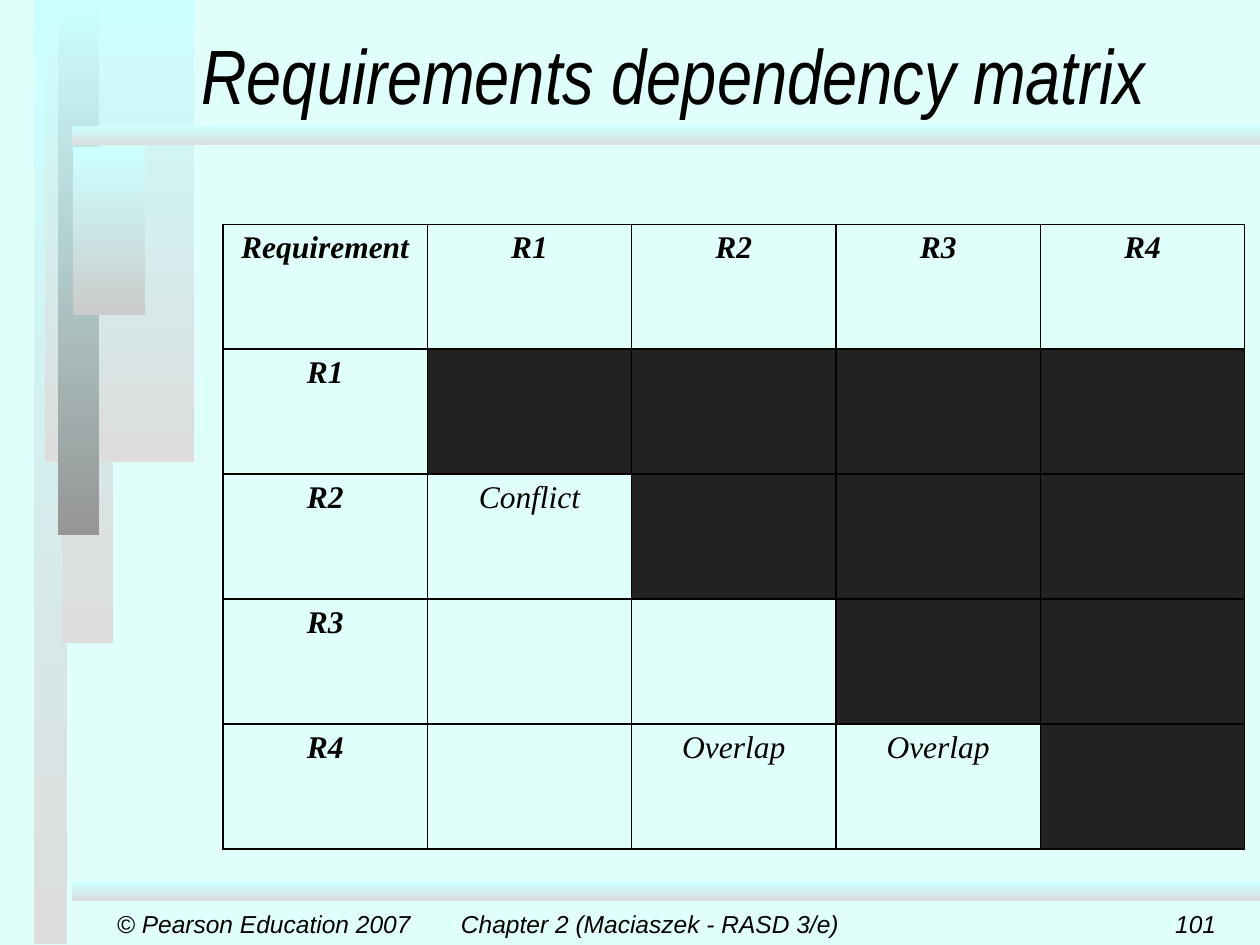
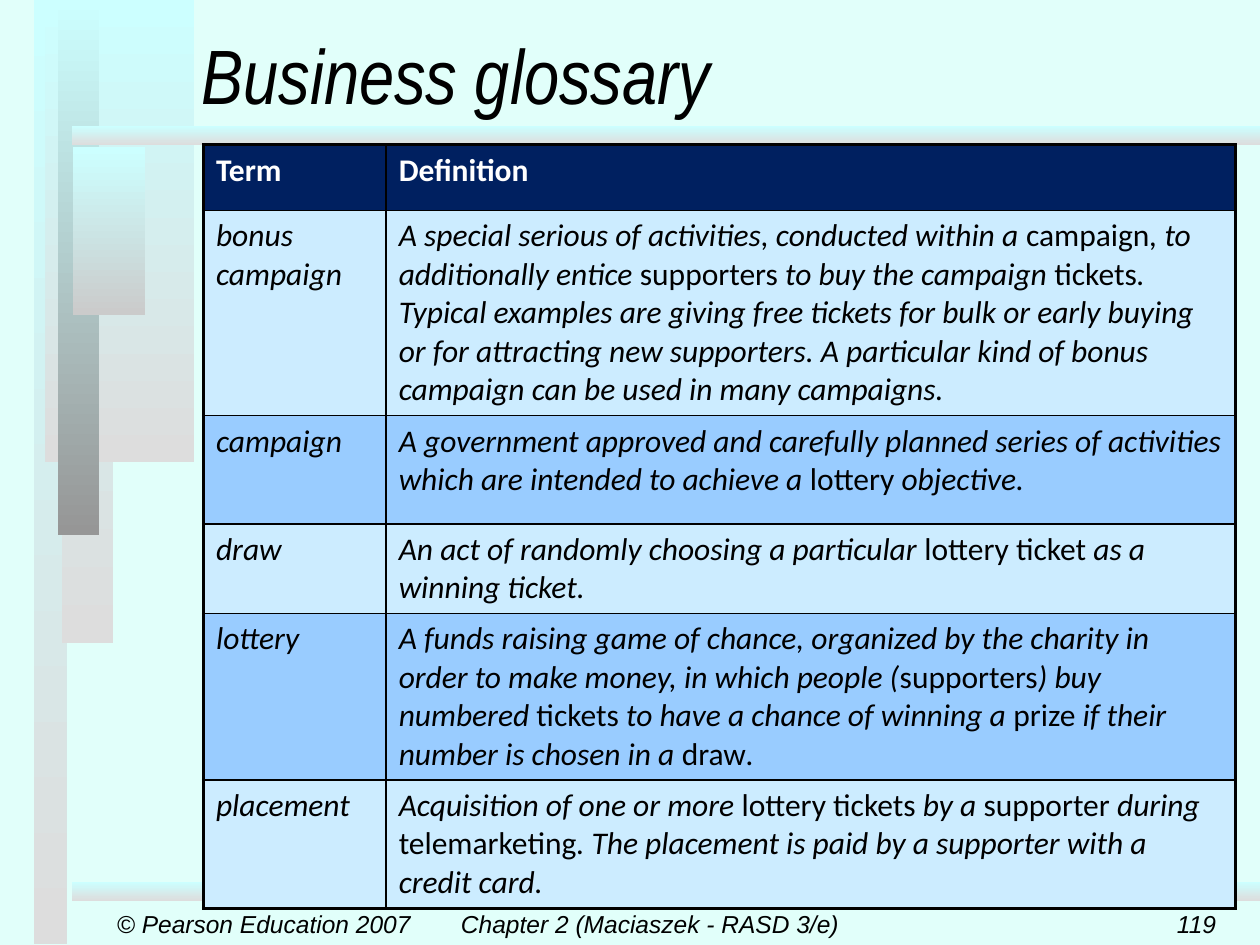
from dataclasses import dataclass

from lxml import etree
from pptx import Presentation
from pptx.dml.color import RGBColor
from pptx.enum.shapes import MSO_SHAPE
from pptx.enum.text import MSO_ANCHOR, PP_ALIGN
from pptx.oxml.ns import qn
from pptx.util import Inches, Pt

RECT = MSO_SHAPE.RECTANGLE
LEFT, CENTER, RIGHT = PP_ALIGN.LEFT, PP_ALIGN.CENTER, PP_ALIGN.RIGHT
MIDDLE, BOTTOM = MSO_ANCHOR.MIDDLE, MSO_ANCHOR.BOTTOM

# Slide grid: 100 columns by 75 rows of square units
COLS, ROWS = 100, 75
WIDTH, HEIGHT = Inches(10), Inches(7.5)

COLORS = {
    "page": "E1FFFA", "ink": "000000", "white": "FFFFFF",
    "aqua": "CCFFFF", "silver": "DDDDDD", "grey": "969696", "ash": "CBCBCB",
    "blocked": "222222", "navy": "002060", "pale": "CCECFF", "sky": "99CCFF",
}


@dataclass(frozen=True)
class Box:
    col: float
    row: float
    cols: float
    rows: float

    def emu(self) -> tuple[int, int, int, int]:
        return across(self.col), down(self.row), across(self.cols), down(self.rows)


@dataclass(frozen=True)
class Band:
    box: Box
    end: str = "silver"


@dataclass(frozen=True)
class Style:
    font: str
    size: int
    color: str = "ink"
    bold: bool = False
    italic: bool = True


@dataclass(frozen=True)
class Label:
    box: Box
    style: Style
    align: int = LEFT
    anchor: int = MIDDLE


def across(cols: float) -> int:
    return round(WIDTH * cols / COLS)


def down(rows: float) -> int:
    return round(HEIGHT * rows / ROWS)


def rgb(name: str) -> RGBColor:
    return RGBColor.from_string(COLORS[name])


# Shared design
BANDS = [
    Band(Box(2.7, 0, 2.6, 74.9)),
    Band(Box(4.9, 0, 4.1, 51)),
    Band(Box(3.6, 0, 11.8, 36.7)),
    Band(Box(4.6, 0, 3.3, 42.5), "grey"),
    Band(Box(5.8, 11.7, 5.7, 13.3), "ash"),
    *(Band(Box(5.7, row, 94.3, 1.5)) for row in (10, 70)),
]
FOOT = Style("Arial", 14)
TITLE = Label(Box(15, 0, 85, 10), Style("Arial Narrow", 44), LEFT, BOTTOM)
COPYRIGHT = Label(Box(8.3, 71.7, 26, 3.3), FOOT)
CHAPTER = Label(Box(34.6, 71.7, 34, 3.3), FOOT, CENTER)
NUMBER = Label(Box(76.7, 71.7, 20.8, 3.3), FOOT, RIGHT)

MATRIX_HEAD = Style("Times New Roman", 18, bold=True)
MATRIX_BODY = Style("Times New Roman", 18)
GLOSSARY_HEAD = Style("Calibri", 18, "white", True, False)
GLOSSARY_BODY = Style("Calibri", 18)

# Contents
REQUIREMENTS = ["R1", "R2", "R3", "R4"]
DEPENDENCIES = {("R2", "R1"): "Conflict", ("R4", "R2"): "Overlap", ("R4", "R3"): "Overlap"}

# Asterisks enclose the upright words of a definition
GLOSSARY = [
    ("Term", "Definition"),
    ("bonus campaign",
     "A special serious of activities, conducted within a *campaign*, to additionally "
     "entice *supporters* to buy the campaign *tickets*. Typical examples are giving free "
     "tickets for bulk or early buying or for attracting new supporters. A particular kind "
     "of bonus campaign can be used in many campaigns."),
    ("campaign",
     "A government approved and carefully planned series of activities which are intended "
     "to achieve a *lottery* objective."),
    ("draw",
     "An act of randomly choosing a particular *lottery ticket* as a winning ticket."),
    ("lottery",
     "A funds raising game of chance, organized by the charity in order to make money, in "
     "which people (*supporters*) buy numbered *tickets* to have a chance of winning a "
     "*prize* if their number is chosen in a *draw*."),
    ("placement",
     "Acquisition of one or more *lottery tickets* by a *supporter* during "
     "*telemarketing*. The placement is paid by a supporter with a credit card."),
]


def write(tf, text: str, style: Style, align: int = LEFT) -> None:
    p = tf.paragraphs[0]
    p.alignment = align
    for i, part in enumerate(text.split("*")):
        if not part:
            continue
        r = p.add_run()
        r.text = part
        r.font.name, r.font.size = style.font, Pt(style.size)
        r.font.bold = style.bold
        r.font.italic = style.italic and i % 2 == 0
        r.font.color.rgb = rgb(style.color)


def add_label(s, label: Label, text: str) -> None:
    tf = s.shapes.add_textbox(*label.box.emu()).text_frame
    tf.word_wrap = True
    tf.vertical_anchor = label.anchor
    write(tf, text, label.style, label.align)


def add_band(s, band: Band) -> None:
    sp = s.shapes.add_shape(RECT, *band.box.emu())
    sp.shadow.inherit = False
    sp.line.fill.background()
    sp.fill.gradient()
    sp.fill.gradient_angle = 270
    for stop, name in zip(sp.fill.gradient_stops, ("aqua", band.end)):
        stop.color.rgb = rgb(name)


def add_page(prs, title: str, number: int):
    s = prs.slides.add_slide(prs.slide_layouts[6])
    s.background.fill.solid()
    s.background.fill.fore_color.rgb = rgb("page")
    for band in BANDS:
        add_band(s, band)
    add_label(s, COPYRIGHT, "© Pearson Education 2007")
    add_label(s, CHAPTER, "Chapter 2 (Maciaszek - RASD 3/e)")
    add_label(s, NUMBER, str(number))
    add_label(s, TITLE, title)
    return s


def add_grid(s, col: float, row: float, widths: list[float], heights: list[float]):
    box = Box(col, row, sum(widths), sum(heights))
    table = s.shapes.add_table(len(heights), len(widths), *box.emu()).table
    table.first_row = table.horz_banding = False
    for column, width in zip(table.columns, widths):
        column.width = across(width)
    for line, height in zip(table.rows, heights):
        line.height = down(height)
    return table


def set_borders(cell, **points: float) -> None:
    """Draw the four sides, 1 point wide unless given as L, R, T or B."""
    tcPr = cell._tc.get_or_add_tcPr()
    for side in "LRTB":
        ln = etree.SubElement(tcPr, qn(f"a:ln{side}"), w=str(Pt(points.get(side, 1))))
        fill = etree.SubElement(ln, qn("a:solidFill"))
        etree.SubElement(fill, qn("a:srgbClr"), val=COLORS["ink"])


def set_fill(cell, name: str | None) -> None:
    if name is None:
        cell.fill.background()
    else:
        cell.fill.solid()
        cell.fill.fore_color.rgb = rgb(name)


def add_matrix_slide(prs) -> None:
    s = add_page(prs, "Requirements dependency matrix", 101)
    heads = ["Requirement", *REQUIREMENTS]
    count = len(heads)
    table = add_grid(s, 17.7, 17.8, [16.22] * count, [9.92] * count)
    for i, left in enumerate(heads):
        for j, top in enumerate(heads):
            cell = table.cell(i, j)
            set_borders(cell)
            # The diagonal and everything above it is blocked out
            set_fill(cell, "blocked" if 0 < i <= j else None)
            if i == 0 or j == 0:
                write(cell.text_frame, top if i == 0 else left, MATRIX_HEAD, CENTER)
            elif (left, top) in DEPENDENCIES:
                write(cell.text_frame, DEPENDENCIES[left, top], MATRIX_BODY, CENTER)


def add_glossary_slide(prs) -> None:
    s = add_page(prs, "Business glossary", 119)
    table = add_grid(s, 16.15, 11.5, [14.5, 67.4], [5.2, 16.3, 8.6, 7.1, 13.2, 10.2])
    last = len(GLOSSARY) - 1
    for i, entry in enumerate(GLOSSARY):
        shade = "navy" if i == 0 else ("sky", "pale")[i % 2]
        for j, text in enumerate(entry):
            cell = table.cell(i, j)
            set_borders(cell, L=2 - j, R=1 + j, T=1 + (i == 0), B=1 + (i == last))
            set_fill(cell, shade)
            write(cell.text_frame, text, GLOSSARY_BODY if i else GLOSSARY_HEAD)


def main() -> None:
    prs = Presentation()
    prs.slide_width, prs.slide_height = WIDTH, HEIGHT
    add_matrix_slide(prs)
    add_glossary_slide(prs)
    prs.save("out.pptx")


if __name__ == "__main__":
    main()
